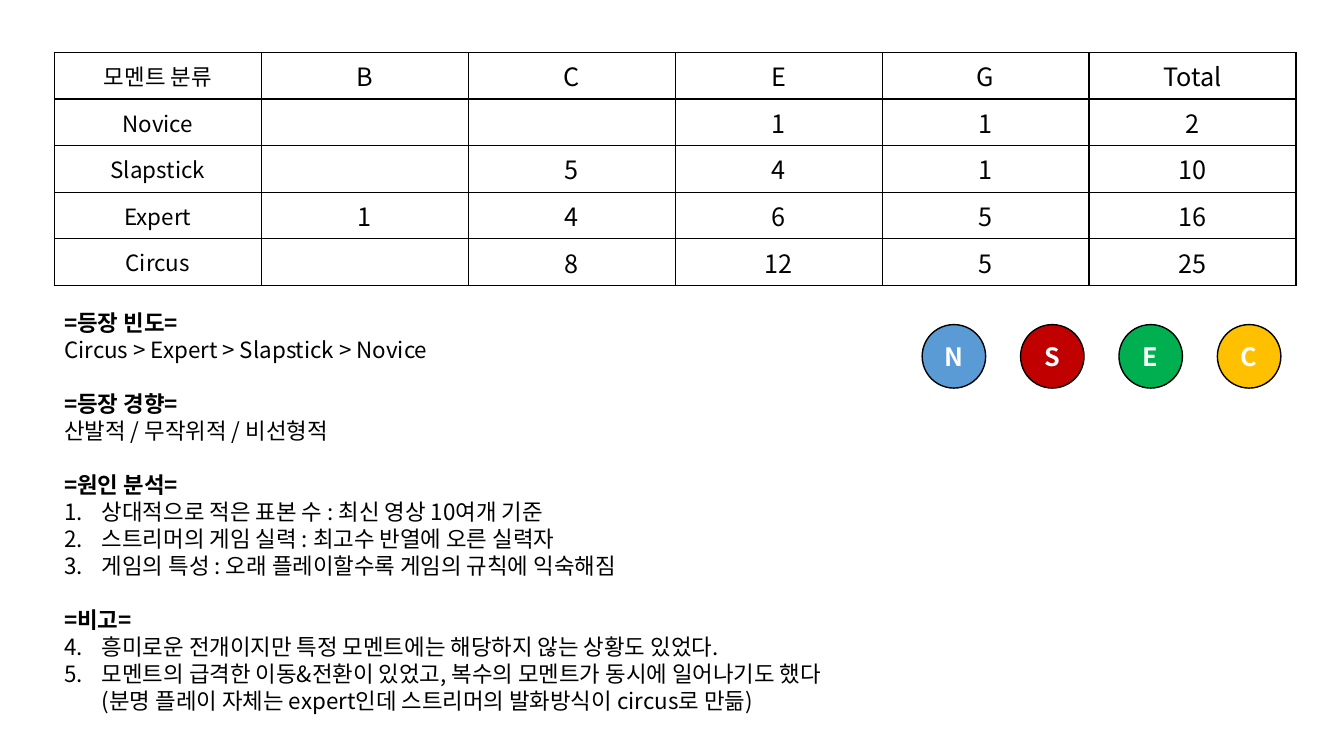
from lxml.etree import SubElement
from pptx import Presentation
from pptx.dml.color import RGBColor
from pptx.enum.shapes import MSO_SHAPE
from pptx.enum.text import MSO_ANCHOR, PP_ALIGN
from pptx.oxml.ns import qn
from pptx.util import Cm, Pt

FONT = "Noto Sans CJK KR"
BLACK, WHITE = "000000", "FFFFFF"
LINE_PITCH = Pt(19.3)
LEFT = Cm(1.37)

MOMENT_ROWS = [
    ["모멘트 분류", "B", "C", "E", "G", "Total"],
    ["Novice", "", "", "1", "1", "2"],
    ["Slapstick", "", "5", "4", "1", "10"],
    ["Expert", "1", "4", "6", "5", "16"],
    ["Circus", "", "8", "12", "5", "25"],
]

# Heading, lines, first list number (None for plain lines)
SECTIONS = [
    ("=등장 빈도=", ["Circus > Expert > Slapstick > Novice"], None),
    ("=등장 경향=", ["산발적 / 무작위적 / 비선형적"], None),
    ("=원인 분석=", [
        "상대적으로 적은 표본 수 : 최신 영상 10여개 기준",
        "스트리머의 게임 실력 : 최고수 반열에 오른 실력자",
        "게임의 특성 : 오래 플레이할수록 게임의 규칙에 익숙해짐",
    ], 1),
    ("=비고=", [
        "흥미로운 전개이지만 특정 모멘트에는 해당하지 않는 상황도 있었다.",
        "모멘트의 급격한 이동&전환이 있었고, 복수의 모멘트가 동시에 일어나기도 했다\v"
        "(분명 플레이 자체는 expert인데 스트리머의 발화방식이 circus로 만듦)",
    ], 4),
]

BADGES = [("N", "5B9BD5"), ("S", "C00000"), ("E", "00B050"), ("C", "FFC000")]


def color(value):
    return RGBColor.from_string(value)


def write(para, text, size, ink=BLACK, bold=False, **layout):
    """Fill a paragraph and format it and its spans."""
    para.text = text
    for name, value in layout.items():
        setattr(para, name, value)
    for span in para.runs:
        for name, value in {"name": FONT, "size": Pt(size), "bold": bold}.items():
            setattr(span.font, name, value)
        span.font.color.rgb = color(ink)
        SubElement(span._r.get_or_add_rPr(), qn("a:ea"), typeface=FONT)


def number(para, start):
    """Turn a paragraph into a numbered item with a hanging indent."""
    props = para._p.get_or_add_pPr()
    props.set("marL", str(Cm(0.95)))
    props.set("indent", str(-Cm(0.95)))
    SubElement(props, qn("a:buFont"), typeface=FONT)
    SubElement(props, qn("a:buAutoNum"), type="arabicPeriod", startAt=str(start))


def outline_cell(cell):
    props = cell._tc.get_or_add_tcPr()
    for side in ("lnL", "lnR", "lnT", "lnB"):
        edge = SubElement(props, qn(f"a:{side}"), w=str(Pt(1)))
        SubElement(SubElement(edge, qn("a:solidFill")), qn("a:srgbClr"), val=BLACK)


def add_moment_table(page):
    frame = page.shapes.add_table(len(MOMENT_ROWS), len(MOMENT_ROWS[0]),
                                  LEFT, Cm(1.32), Cm(31.29), Cm(5.15))
    table = frame.table
    table.first_row = table.horz_banding = False
    for row, values in enumerate(MOMENT_ROWS):
        for column, value in enumerate(values):
            cell = table.cell(row, column)
            outline_cell(cell)
            cell.fill.background()
            cell.vertical_anchor = MSO_ANCHOR.MIDDLE
            write(cell.text_frame.paragraphs[0], value, 18 if column else 16,
                  alignment=PP_ALIGN.CENTER)


def add_analysis(page):
    box = page.shapes.add_textbox(LEFT, Cm(7.65), Cm(28.42), Cm(10.52))
    frame = box.text_frame
    frame.word_wrap = True
    para = frame.paragraphs[0]
    for index, (heading, lines, first) in enumerate(SECTIONS):
        if index:
            para = frame.add_paragraph()
        write(para, heading, 16, bold=True, line_spacing=LINE_PITCH,
              space_before=LINE_PITCH if index else Pt(0))
        for offset, line in enumerate(lines):
            para = frame.add_paragraph()
            write(para, line, 16, line_spacing=LINE_PITCH)
            if first:
                number(para, first)


def add_badge(page, left, letter, fill):
    badge = page.shapes.add_shape(MSO_SHAPE.OVAL, left, Cm(8.18), Cm(1.6), Cm(1.6))
    badge.shadow.inherit = False
    badge.fill.solid()
    badge.fill.fore_color.rgb = color(fill)
    badge.line.color.rgb = color(BLACK)
    badge.line.width = Pt(1)
    badge.text_frame.vertical_anchor = MSO_ANCHOR.MIDDLE
    write(badge.text_frame.paragraphs[0], letter, 18, WHITE, True,
          alignment=PP_ALIGN.CENTER)


def main():
    deck = Presentation()
    deck.slide_width, deck.slide_height = Cm(33.87), Cm(19.05)
    page = deck.slides.add_slide(deck.slide_layouts[6])
    add_moment_table(page)
    add_analysis(page)
    # Moment initials, evenly spaced
    for index, (letter, fill) in enumerate(BADGES):
        add_badge(page, Cm(23.24 + 2.48 * index), letter, fill)
    deck.save("out.pptx")


if __name__ == "__main__":
    main()
